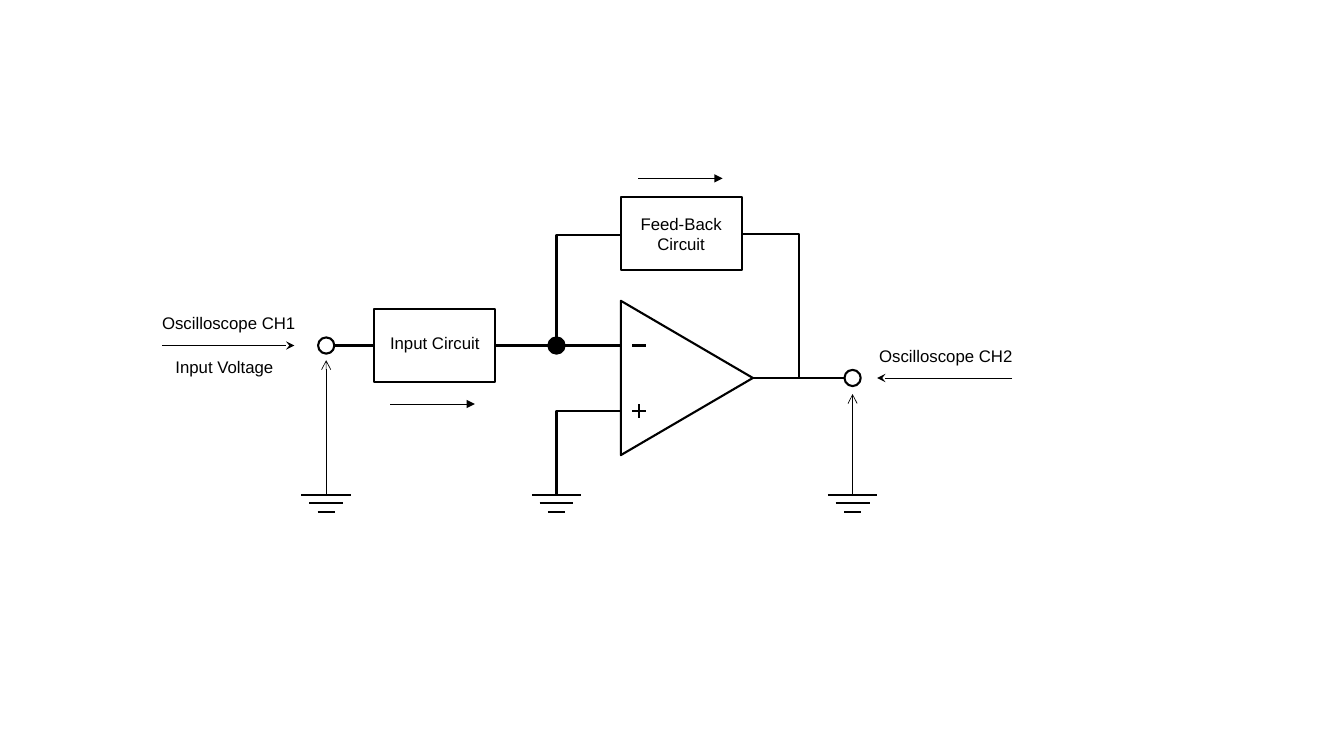
"""Draw an inverting op-amp block diagram with oscilloscope probes."""
from pptx import Presentation
from pptx.dml.color import RGBColor
from pptx.enum import shapes, text
from pptx.oxml import parse_xml
from pptx.oxml.ns import nsdecls, qn
from pptx.util import Pt

BLACK = RGBColor(0, 0, 0)
WHITE = RGBColor(255, 255, 255)
FONT = "Arial"
WIRE, THIN = 1.5, 0.5

IN_Y, OUT_Y, PLUS_Y, FEED_Y, GROUND_Y = 246.8, 270, 293.5, 167.5, 353.5
IN_X, NODE_X, OUT_X = 233, 397.5, 609
AMP_LEFT, AMP_TIP, AMP_HEIGHT = 443.5, 537.8, 110.2
TAP_X, SIGN_X = 570.5, 456.5
BOX_W, BOX_H, DOT, SIGN = 86.6, 52.5, 11.6, 10

BOXES = [(267, 220.5), (AMP_LEFT, 140.6)]
TERMINALS = [(IN_X, IN_Y, None), (NODE_X, IN_Y, BLACK), (OUT_X, OUT_Y, None)]
GROUND_BARS = [(0, 35.3), (6, 24.2), (12.2, 12.2)]
WIRES = [
    (AMP_TIP, OUT_Y, OUT_X - DOT / 2, OUT_Y),
    (IN_X + DOT / 2, IN_Y, AMP_LEFT, IN_Y),
    (SIGN_X - SIGN / 2, IN_Y, SIGN_X + SIGN / 2, IN_Y),
    (SIGN_X - SIGN / 2, PLUS_Y, SIGN_X + SIGN / 2, PLUS_Y),
    (SIGN_X, PLUS_Y + SIGN / 2, SIGN_X, PLUS_Y - SIGN / 2),
]
BENDS = [
    (AMP_LEFT, PLUS_Y, NODE_X, GROUND_Y),
    (AMP_LEFT, FEED_Y + 0.3, NODE_X, IN_Y),
    (AMP_LEFT + BOX_W, FEED_Y - 0.3, TAP_X, OUT_Y),
]
ARROWS = [
    (OUT_X, GROUND_Y, OUT_X, 281.5, "arrow"),
    (IN_X, GROUND_Y, IN_X, 257.3, "arrow"),
    (278.6, 288.6, 339.2, 288.6, "triangle"),
    (455.8, 127.4, 516.2, 127.4, "triangle"),
    (115.8, IN_Y, 210.2, IN_Y, "stealth"),
    (723, OUT_Y, 626.6, OUT_Y, "stealth"),
]
LABELS = [
    (["Input Circuit"], 278.6, 237.8, 64.6),
    (["Feed-Back", "Circuit"], 457.4, 152.3, 58.3),
    (["Oscilloscope CH1"], 115.8, 223.2, 95.8),
    (["Oscilloscope CH2"], 628, 246.8, 95.8),
    (["Input Voltage"], 125.3, 254.9, 70.6),
]


def add_line(s, x1, y1, x2, y2, width=WIRE, head=None, bent=False):
    kind = shapes.MSO_CONNECTOR.ELBOW if bent else shapes.MSO_CONNECTOR.STRAIGHT
    c = s.shapes.add_connector(kind, Pt(x1), Pt(y1), Pt(x2), Pt(y2))
    c.line.color.rgb = BLACK
    c.line.width = Pt(width)
    sp_pr = c._element.spPr
    if bent:
        sp_pr.find(qn("a:prstGeom")).set("prst", "bentConnector2")
    if head:
        c.line._get_or_add_ln().append(
            parse_xml(f'<a:tailEnd {nsdecls("a")} type="{head}"/>'))
    sp_pr.append(parse_xml(f'<a:effectLst {nsdecls("a")}/>'))


def add_shape(s, kind, x, y, w, h, fill=None, rotation=0):
    sp = s.shapes.add_shape(kind, Pt(x), Pt(y), Pt(w), Pt(h))
    sp.shadow.inherit = False
    sp.rotation = rotation
    sp.line.color.rgb = BLACK
    sp.line.width = Pt(WIRE)
    if fill is None:
        sp.fill.background()
    else:
        sp.fill.solid()
        sp.fill.fore_color.rgb = fill


def add_text(s, lines, x, y, w, size=12, color=BLACK, align=None):
    tf = s.shapes.add_textbox(Pt(x), Pt(y), Pt(w), Pt(14.5 * len(lines))).text_frame
    tf.margin_left = tf.margin_right = tf.margin_top = tf.margin_bottom = 0
    tf.word_wrap = False
    tf.auto_size = text.MSO_AUTO_SIZE.SHAPE_TO_FIT_TEXT
    for i, line in enumerate(lines):
        p = tf.add_paragraph() if i else tf.paragraphs[0]
        p.alignment = align
        r = p.add_run()
        r.text = line
        r.font.name, r.font.size = FONT, Pt(size)
        r.font.color.rgb = color


def main():
    prs = Presentation()
    prs.slide_width, prs.slide_height = Pt(960), Pt(540)
    s = prs.slides.add_slide(prs.slide_layouts[6])
    preset = shapes.MSO_SHAPE

    amp_width = AMP_TIP - AMP_LEFT
    add_shape(s, preset.ISOSCELES_TRIANGLE,
              (AMP_LEFT + AMP_TIP - AMP_HEIGHT) / 2, OUT_Y - amp_width / 2,
              AMP_HEIGHT, amp_width, rotation=90)
    for wire in WIRES:
        add_line(s, *wire)
    for bend in BENDS:
        add_line(s, *bend, bent=True)
    for x in (IN_X, NODE_X, OUT_X):
        for drop, w in GROUND_BARS:
            add_line(s, x - w / 2, GROUND_Y + drop, x + w / 2, GROUND_Y + drop)
    for x, y, fill in TERMINALS:
        add_shape(s, preset.OVAL, x - DOT / 2, y - DOT / 2, DOT, DOT, fill)
    for x, y in BOXES:
        add_shape(s, preset.RECTANGLE, x, y, BOX_W, BOX_H, WHITE)
    for *ends, head in ARROWS:
        add_line(s, *ends, width=THIN, head=head)
    for lines, x, y, w in LABELS:
        align = text.PP_ALIGN.CENTER if len(lines) > 1 else text.PP_ALIGN.LEFT
        add_text(s, lines, x, y, w, align=align)
    prs.save("out.pptx")


if __name__ == "__main__":
    main()
